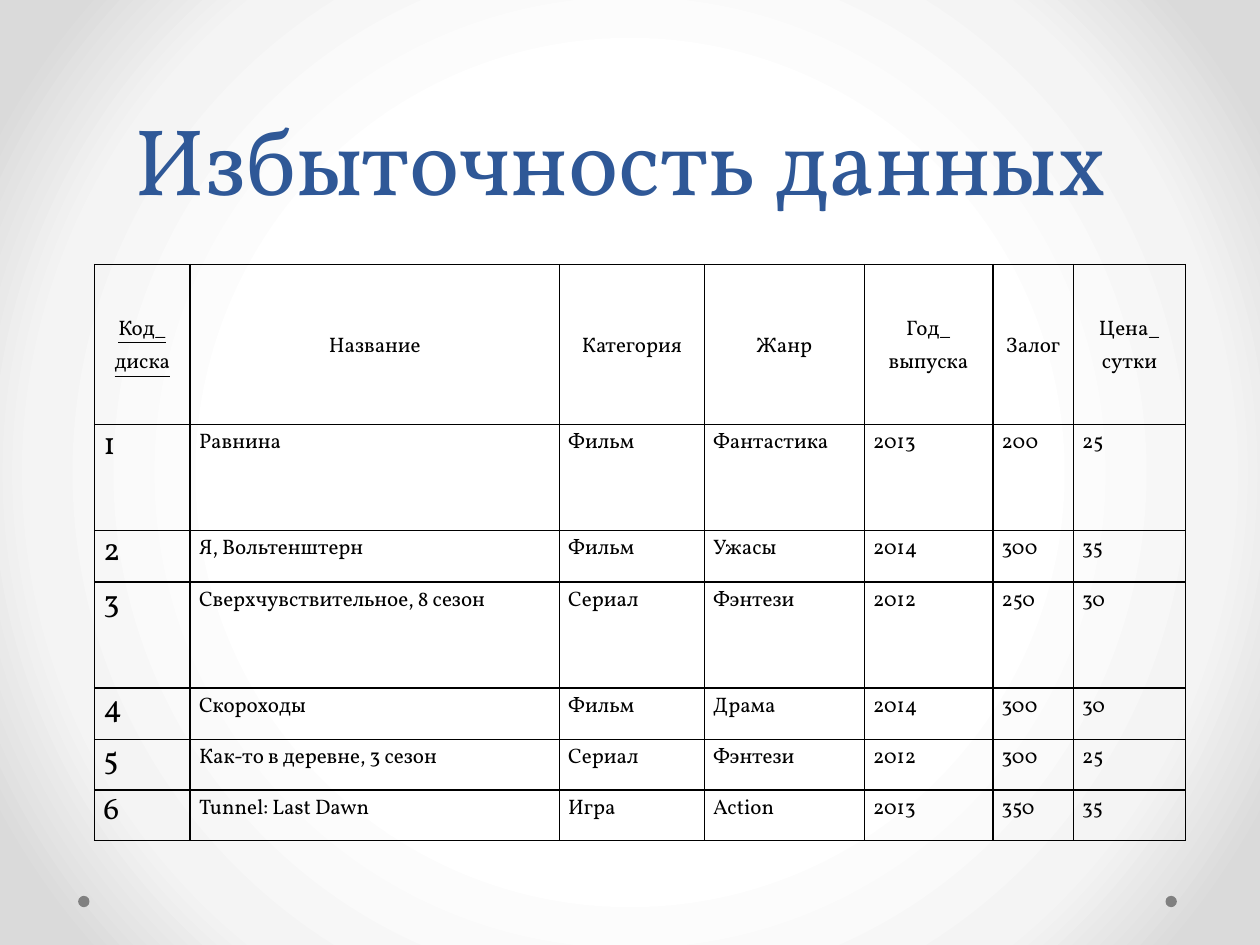
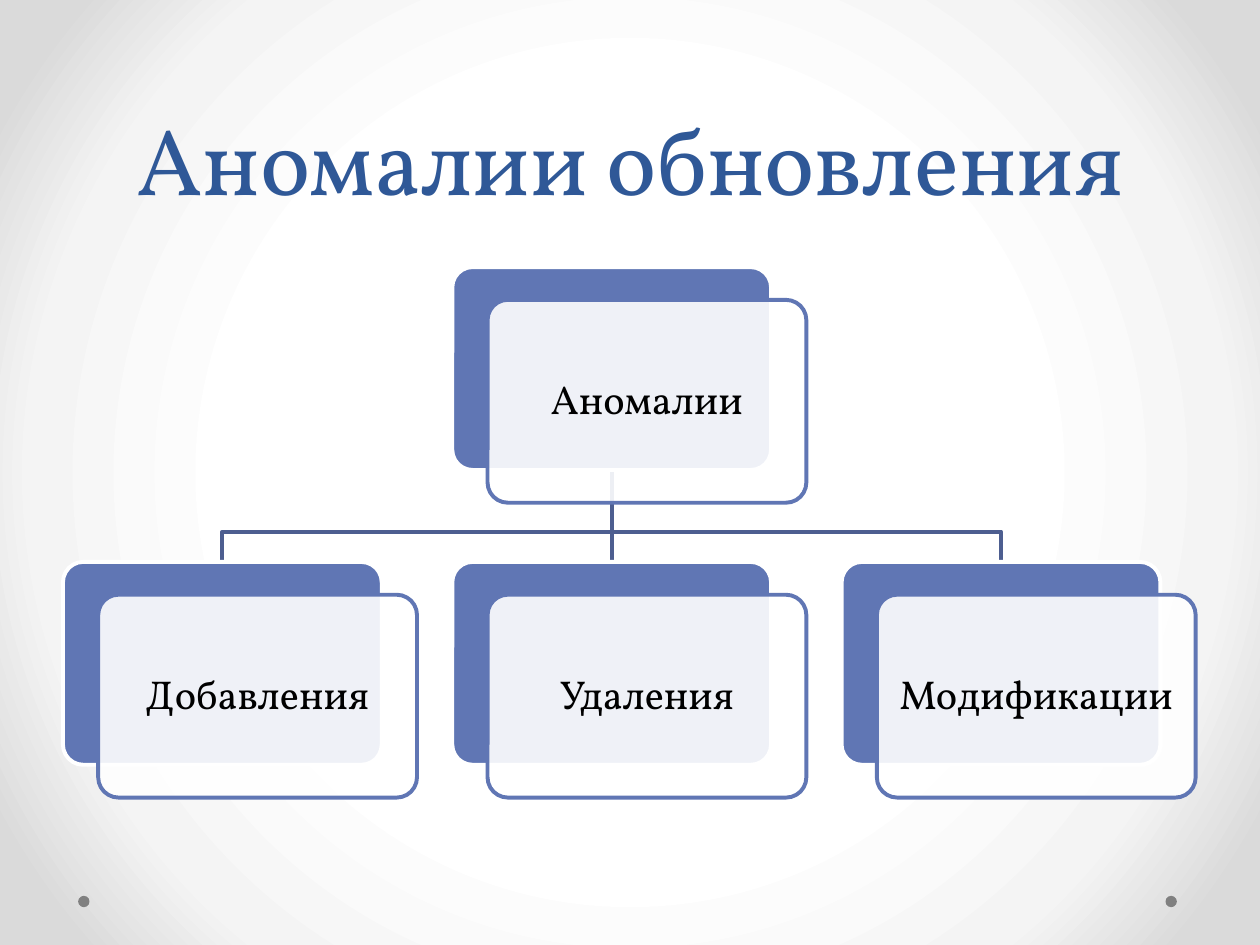
import pptx
import pptx.util
import pptx.dml.color
import pptx.enum.shapes
import pptx.enum.text
import pptx.oxml.ns
from lxml import etree

Inches = pptx.util.Inches
Pt = pptx.util.Pt
qn = pptx.oxml.ns.qn
ALIGN = pptx.enum.text.PP_ALIGN
ANCHOR = pptx.enum.text.MSO_ANCHOR
SHAPE = pptx.enum.shapes.MSO_SHAPE

COLORS = {
    "title": "2F5897", "text": "000000", "dot": "808080", "white": "FFFFFF",
    "card": "6076B4", "link": "4D5E90", "middle": "F4F4F4", "edge": "DADADA",
}
FONT = "Vollkorn"
BACKGROUND_STOPS = [(50, "white"), (76, "middle"), (92, "edge")]
TITLE_FORMAT = {"alignment": ALIGN.CENTER, "line_spacing": Pt(58)}
HEADER_FORMAT = {"alignment": ALIGN.CENTER, "line_spacing": 1.15, "space_before": Pt(6)}
BODY_FORMAT = {**HEADER_FORMAT, "alignment": ALIGN.JUSTIFY}
CARD_FORMAT = {"alignment": ALIGN.CENTER, "line_spacing": 0.9, "space_after": Pt(8)}

COLUMN_WIDTHS = [0.76, 2.93, 1.15, 1.27, 1.02, 0.64, 0.89]
ROW_HEIGHTS = [1.27, 0.84, 0.41, 0.84, 0.41, 0.4, 0.4]
DISCS = [
    ["Код_\nдиска", "Название", "Категория", "Жанр", "Год_\nвыпуска", "Залог", "Цена_\nсутки"],
    ["1", "Равнина", "Фильм", "Фантастика", "2013", "200", "25"],
    ["2", "Я, Вольтенштерн", "Фильм", "Ужасы", "2014", "300", "35"],
    ["3", "Сверхчувствительное, 8 сезон", "Сериал", "Фэнтези", "2012", "250", "30"],
    ["4", "Скороходы", "Фильм", "Драма", "2014", "300", "30"],
    ["5", "Как-то в деревне, 3 сезон", "Сериал", "Фэнтези", "2012", "300", "25"],
    ["6", "Tunnel: Last Dawn", "Игра", "Action", "2013", "350", "35"],
]

CARD_WIDTH, CARD_HEIGHT = 2.53, 1.61
CARD_OFFSET_X, CARD_OFFSET_Y = 0.28, 0.26
ROOT_LEFT, ROOT_TOP = 3.59, 2.12
CHILD_TOP, CHILD_PITCH = 4.46, 3.09
BRANCH_TOP = 4.22
ANOMALIES = ["Добавления", "Удаления", "Модификации"]


def color(name):
    return pptx.dml.color.RGBColor.from_string(COLORS[name])


def apply(target, values):
    for name, value in values.items():
        setattr(target, name, value)


def write(text_frame, text, size, paragraph_format, color_name="text", underline=None):
    paragraph = text_frame.paragraphs[0]
    paragraph.text = text
    apply(paragraph, paragraph_format)
    for run in paragraph.runs:
        apply(run.font, {"name": FONT, "size": Pt(size), "underline": underline})
        run.font.color.rgb = color(color_name)


def set_line(line, color_name, width):
    line.color.rgb = color(color_name)
    line.width = Pt(width)


def add_shape(slide, kind, left, top, width, height, fill):
    shape = slide.shapes.add_shape(kind, Inches(left), Inches(top), Inches(width), Inches(height))
    shape.shadow.inherit = False
    shape.fill.solid()
    shape.fill.fore_color.rgb = color(fill)
    return shape


def style_background(layout):
    layout.background.fill.gradient()
    gradient = layout.element.find(".//" + qn("a:gradFill"))
    gradient.clear()
    stops = etree.SubElement(gradient, qn("a:gsLst"))
    for position, name in BACKGROUND_STOPS:
        stop = etree.SubElement(stops, qn("a:gs"), pos=str(position * 1000))
        etree.SubElement(stop, qn("a:srgbClr"), val=COLORS[name])
    circle = etree.SubElement(gradient, qn("a:path"), path="circle")
    etree.SubElement(circle, qn("a:fillToRect"), dict.fromkeys("ltrb", "50000"))


def move_dots_to_layout(slide, layout):
    for number, left in enumerate([9.25, 0.62], 101):
        dot = add_shape(slide, SHAPE.OVAL, left, 7.11, 0.09, 0.09, "dot")
        dot.line.fill.background()
        dot.element.nvSpPr.cNvPr.set("id", str(number))
        layout.shapes.element.append(dot.element)


def add_slide(presentation, layout, title):
    slide = presentation.slides.add_slide(layout)
    placeholder = slide.shapes.title
    apply(placeholder, {"left": Inches(0.5), "top": 0, "width": Inches(9), "height": Inches(1.75)})
    apply(placeholder.text_frame, {
        "vertical_anchor": ANCHOR.BOTTOM, "word_wrap": True,
        "auto_size": pptx.enum.text.MSO_AUTO_SIZE.NONE,
    })
    write(placeholder.text_frame, title, 54, TITLE_FORMAT, "title")
    return slide


def add_cell_borders(cell_element):
    properties = cell_element.get_or_add_tcPr()
    for index, side in enumerate(["a:lnL", "a:lnR", "a:lnT", "a:lnB"]):
        border = etree.Element(qn(side), w=str(Pt(1)))
        fill = etree.SubElement(border, qn("a:solidFill"))
        etree.SubElement(fill, qn("a:srgbClr"), val=COLORS["text"])
        properties.insert(index, border)


def fill_cell(cell, text, is_header, is_code):
    apply(cell, {
        "margin_left": Inches(0.07), "margin_right": Inches(0.07),
        "margin_top": 0, "margin_bottom": 0,
        "vertical_anchor": ANCHOR.MIDDLE if is_header else ANCHOR.TOP,
    })
    cell.fill.background()
    if is_header:
        write(cell.text_frame, text, 12, HEADER_FORMAT, underline=is_code)
    elif is_code:
        write(cell.text_frame, text, 18, {})
    else:
        write(cell.text_frame, text, 12, BODY_FORMAT)


def add_disc_table(slide):
    frame = slide.shapes.add_table(
        len(DISCS), len(COLUMN_WIDTHS), Inches(0.75), Inches(2.1),
        Inches(sum(COLUMN_WIDTHS)), Inches(sum(ROW_HEIGHTS)))
    table = frame.table
    apply(table, {"first_row": False, "horz_banding": False})
    for column, width in zip(table.columns, COLUMN_WIDTHS):
        column.width = Inches(width)
    for row, height in zip(table.rows, ROW_HEIGHTS):
        row.height = Inches(height)
    for row_index, values in enumerate(DISCS):
        for column_index, value in enumerate(values):
            fill_cell(table.cell(row_index, column_index), value, row_index == 0, column_index == 0)
    for line_break in frame.element.iter(qn("a:br")):
        etree.SubElement(line_break, qn("a:rPr"), sz="1200")
    for cell_element in frame.element.iter(qn("a:tc")):
        add_cell_borders(cell_element)


def add_branch(slide, start, end):
    (start_x, start_y), (end_x, end_y) = start, end
    builder = slide.shapes.build_freeform(Inches(start_x), Inches(start_y))
    corners = [(start_x, BRANCH_TOP), (end_x, BRANCH_TOP), (end_x, end_y)]
    builder.add_line_segments([(Inches(x), Inches(y)) for x, y in corners], close=False)
    branch = builder.convert_to_shape()
    branch.shadow.inherit = False
    branch.fill.background()
    set_line(branch.line, "link", 2.25)


def add_trunk(slide):
    trunk = slide.shapes.add_connector(pptx.enum.shapes.MSO_CONNECTOR.STRAIGHT, 0, 0, 0, 0)
    set_line(trunk.line, "link", 2.25)
    etree.SubElement(trunk.element.spPr, qn("a:effectLst"))
    return trunk


def add_card(slide, left, top, text):
    back = add_shape(slide, SHAPE.ROUNDED_RECTANGLE, left, top, CARD_WIDTH, CARD_HEIGHT, "card")
    set_line(back.line, "white", 2.25)
    front = add_shape(slide, SHAPE.ROUNDED_RECTANGLE, left + CARD_OFFSET_X,
                      top + CARD_OFFSET_Y, CARD_WIDTH, CARD_HEIGHT, "white")
    set_line(front.line, "card", 2.25)
    fill_color = front.element.spPr.find(qn("a:solidFill")).find(qn("a:srgbClr"))
    etree.SubElement(fill_color, qn("a:alpha"), val="90000")
    for shape in (back, front):
        shape.adjustments[0] = 0.1
    margins = ["margin_left", "margin_right", "margin_top", "margin_bottom"]
    apply(front.text_frame, dict.fromkeys(margins, Inches(0.1)))
    apply(front.text_frame, {"word_wrap": True, "vertical_anchor": ANCHOR.MIDDLE})
    write(front.text_frame, text, 23, CARD_FORMAT)
    return back


def add_anomaly_tree(slide):
    center = ROOT_LEFT + CARD_WIDTH / 2
    root_bottom = ROOT_TOP + CARD_HEIGHT
    for side in (1, -1):
        add_branch(slide, (center, root_bottom), (center + side * CHILD_PITCH, CHILD_TOP))
    trunk = add_trunk(slide)
    root = add_card(slide, ROOT_LEFT, ROOT_TOP, "Аномалии")
    children = [add_card(slide, ROOT_LEFT + (index - 1) * CHILD_PITCH, CHILD_TOP, text)
                for index, text in enumerate(ANOMALIES)]
    trunk.begin_connect(root, 2)
    trunk.end_connect(children[1], 0)


def main():
    presentation = pptx.Presentation()
    apply(presentation, {"slide_width": Inches(10), "slide_height": Inches(7.5)})
    layout = presentation.slide_layouts[5]
    style_background(layout)
    table_slide = add_slide(presentation, layout, "Избыточность данных ")
    move_dots_to_layout(table_slide, layout)
    add_disc_table(table_slide)
    add_anomaly_tree(add_slide(presentation, layout, "Аномалии обновления"))
    presentation.save("out.pptx")


if __name__ == "__main__":
    main()
